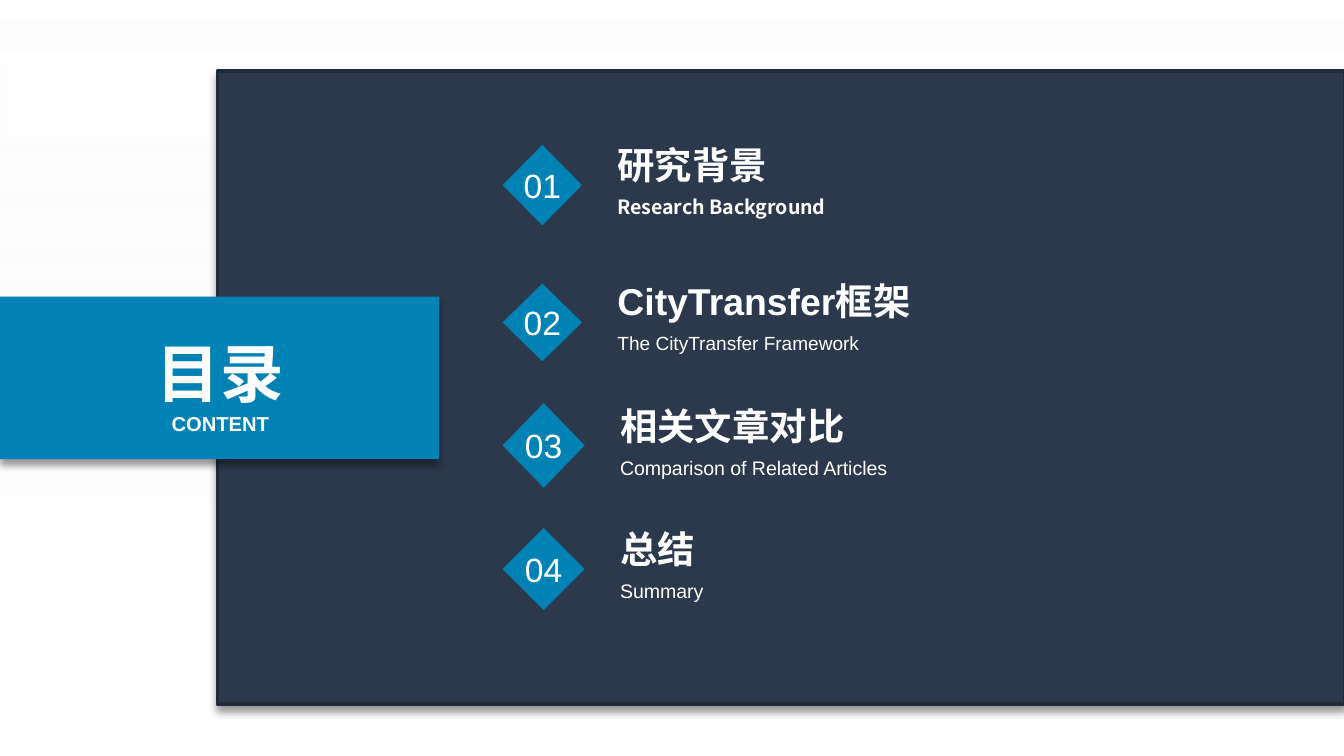
from dataclasses import dataclass

from lxml.etree import SubElement
from pptx import Presentation
from pptx.dml.color import RGBColor
from pptx.enum.shapes import MSO_SHAPE as Shape
from pptx.enum.text import MSO_ANCHOR as Anchor, MSO_AUTO_SIZE as AutoSize, PP_ALIGN as Align
from pptx.oxml.ns import qn
from pptx.util import Cm, Pt


@dataclass(frozen=True)
class Theme:
    white: RGBColor = RGBColor.from_string("FFFFFF")
    mist: RGBColor = RGBColor.from_string("F2F2F2")
    blue: RGBColor = RGBColor.from_string("0083B4")
    navy: RGBColor = RGBColor.from_string("2C394C")
    edge: RGBColor = RGBColor.from_string("212A38")
    latin: str = "Arial"
    asian: str = "Noto Sans CJK SC"
    title: float = 34
    subtitle: float = 10.8
    heading: float = 20
    number: float = 18
    caption: float = 10.5
    small_caption: float = 10.2


theme = Theme()


def write(shape, text, size, anchor=Anchor.MIDDLE, align=Align.LEFT,
          bold=False, name=theme.latin, inset=0, spacing=1.0):
    """Put one formatted white paragraph into the shape."""
    frame = shape.text_frame
    settings = {"word_wrap": True, "auto_size": AutoSize.NONE, "vertical_anchor": anchor,
                "margin_left": Cm(inset), "margin_right": 0, "margin_top": 0, "margin_bottom": 0}
    for key, value in settings.items():
        setattr(frame, key, value)
    para = frame.paragraphs[0]
    para.alignment, para.line_spacing = align, spacing
    span = para.add_run()
    span.text = text
    for key, value in {"size": Pt(size), "bold": bold, "name": name}.items():
        setattr(span.font, key, value)
    span.font.color.rgb = theme.white
    SubElement(span.font._element, qn("a:ea"), typeface=theme.asian)


def add_block(shapes, kind, box, color, shadow=False):
    """Add a filled shape without outline, with a soft drop shadow if asked."""
    block = shapes.add_shape(kind, *map(Cm, box))
    block.fill.solid()
    block.fill.fore_color.rgb = color
    block.line.fill.background()
    block.shadow.inherit = False
    if shadow:
        effects = block._element.spPr.find(qn("a:effectLst"))
        outer = SubElement(effects, qn("a:outerShdw"), blurRad=str(Pt(4)), dist=str(Pt(3)),
                           dir="5400000", algn="t", rotWithShape="0")
        black = SubElement(outer, qn("a:srgbClr"), val="000000")
        SubElement(black, qn("a:alpha"), val="40000")
    return block


deck = Presentation()
deck.slide_width, deck.slide_height = Cm(25.4), Cm(14.29)
page = deck.slides.add_slide(deck.slide_layouts[5])
page.background.fill.solid()
page.background.fill.fore_color.rgb = theme.white

# Faint backdrop gradient
backdrop = add_block(page.shapes, Shape.RECTANGLE, (0, 0, 25.4, 14.29), theme.white)
backdrop.fill.gradient()
backdrop.fill.gradient_angle = 270
stops = ((0, theme.white, 55000), (0.71, theme.mist, 0))
for stop, (position, color, opacity) in zip(backdrop.fill.gradient_stops, stops):
    stop.position = position
    stop.color.rgb = color
for tint, (position, color, opacity) in zip(backdrop._element.spPr.iter(qn("a:srgbClr")), stops):
    SubElement(tint, qn("a:alpha"), val=str(opacity))

# Dark panel
panel = add_block(page.shapes, Shape.RECTANGLE, (4.11, 1.35, 21.3, 11.96), theme.navy, shadow=True)
panel.line.color.rgb = theme.edge
panel.line.width = Pt(2)

# Contents: diamond top, width, height; text left; line between heading and caption
plain = {"size": theme.caption}
entries = (
    ("研究背景", "Research Background", (2.74, 1.5, 1.52), 10.67, 3.53,
     {"size": theme.caption, "bold": True, "name": theme.asian}),
    ("CityTransfer框架", "The CityTransfer Framework", (5.36, 1.5, 1.47), 10.67, 6.11,
     {"size": theme.small_caption}),
    ("相关文章对比", "Comparison of Related Articles", (7.62, 1.55, 1.6), 10.72, 8.47, plain),
    ("总结", "Summary", (9.98, 1.55, 1.55), 10.72, 10.8, plain),
)
for number, (heading, caption, (top, width, height), left, middle, style) in enumerate(entries, 1):
    row = page.shapes.add_group_shape().shapes
    diamond = add_block(row, Shape.DIAMOND, (9.5, top, width, height), theme.blue)
    write(diamond, f"{number:02}", theme.number, align=Align.CENTER)
    diamond.text_frame.word_wrap = False
    heading_box = row.add_textbox(Cm(left), Cm(middle - 1), Cm(8.25), Cm(1))
    write(heading_box, heading, theme.heading, Anchor.BOTTOM, bold=True, inset=1)
    caption_box = row.add_textbox(Cm(left), Cm(middle), Cm(8.25), Cm(0.66))
    write(caption_box, caption, inset=1, spacing=1.2, **style)

# Title banner
add_block(page.shapes, Shape.RECTANGLE, (0, 5.61, 8.3, 3.07), theme.blue, shadow=True)
title = page.shapes.title
title.left, title.top, title.width, title.height = map(Cm, (2.69, 6.32, 2.95, 1.5))
write(title, "目录", theme.title, Anchor.TOP, Align.CENTER, bold=True)
page.shapes._spTree.append(title._element)  # bring the title in front of the banner
subtitle = page.shapes.add_textbox(Cm(2.69), Cm(7.77), Cm(2.95), Cm(0.5))
write(subtitle, "CONTENT", theme.subtitle, Anchor.TOP, Align.CENTER, bold=True)

deck.save("out.pptx")
